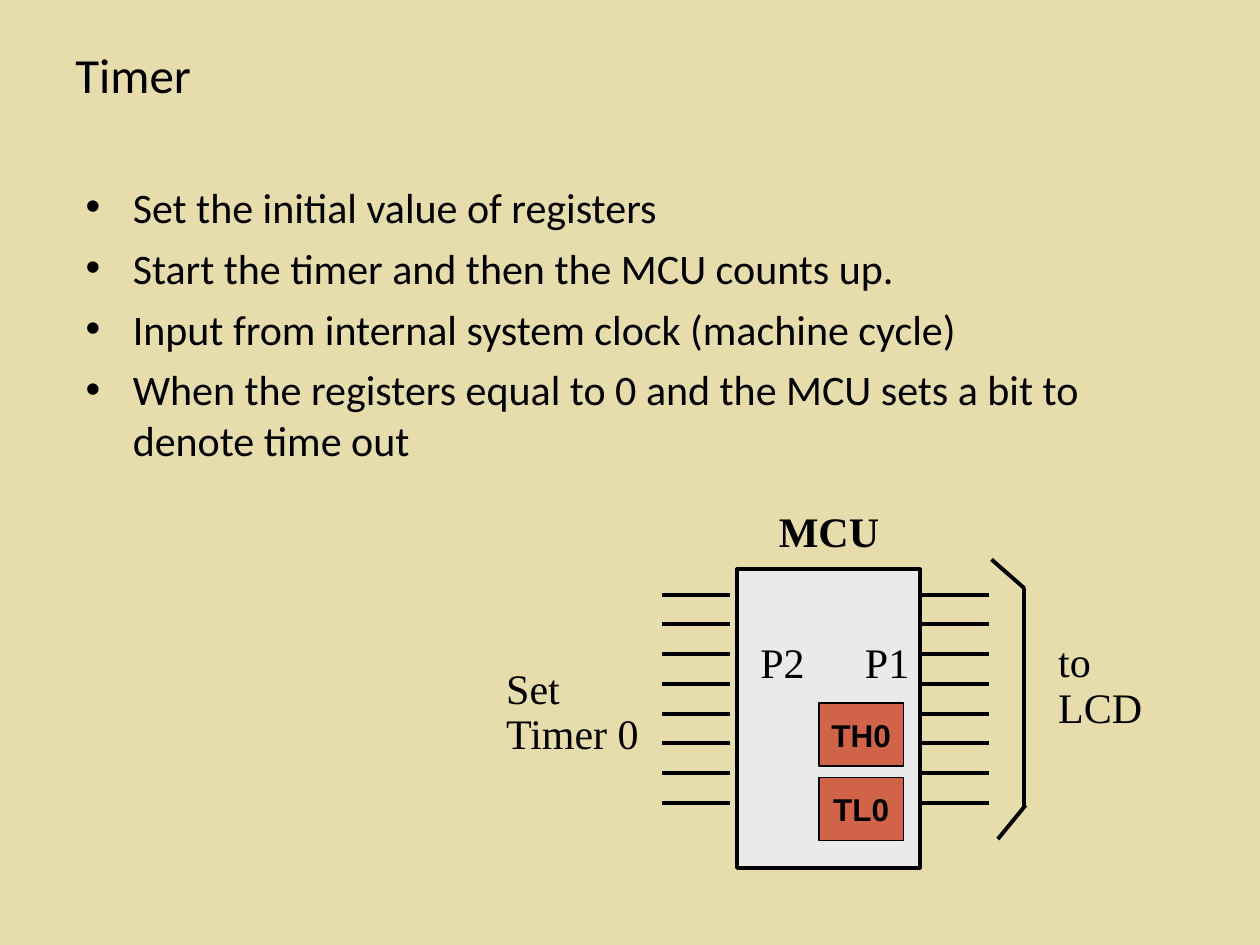
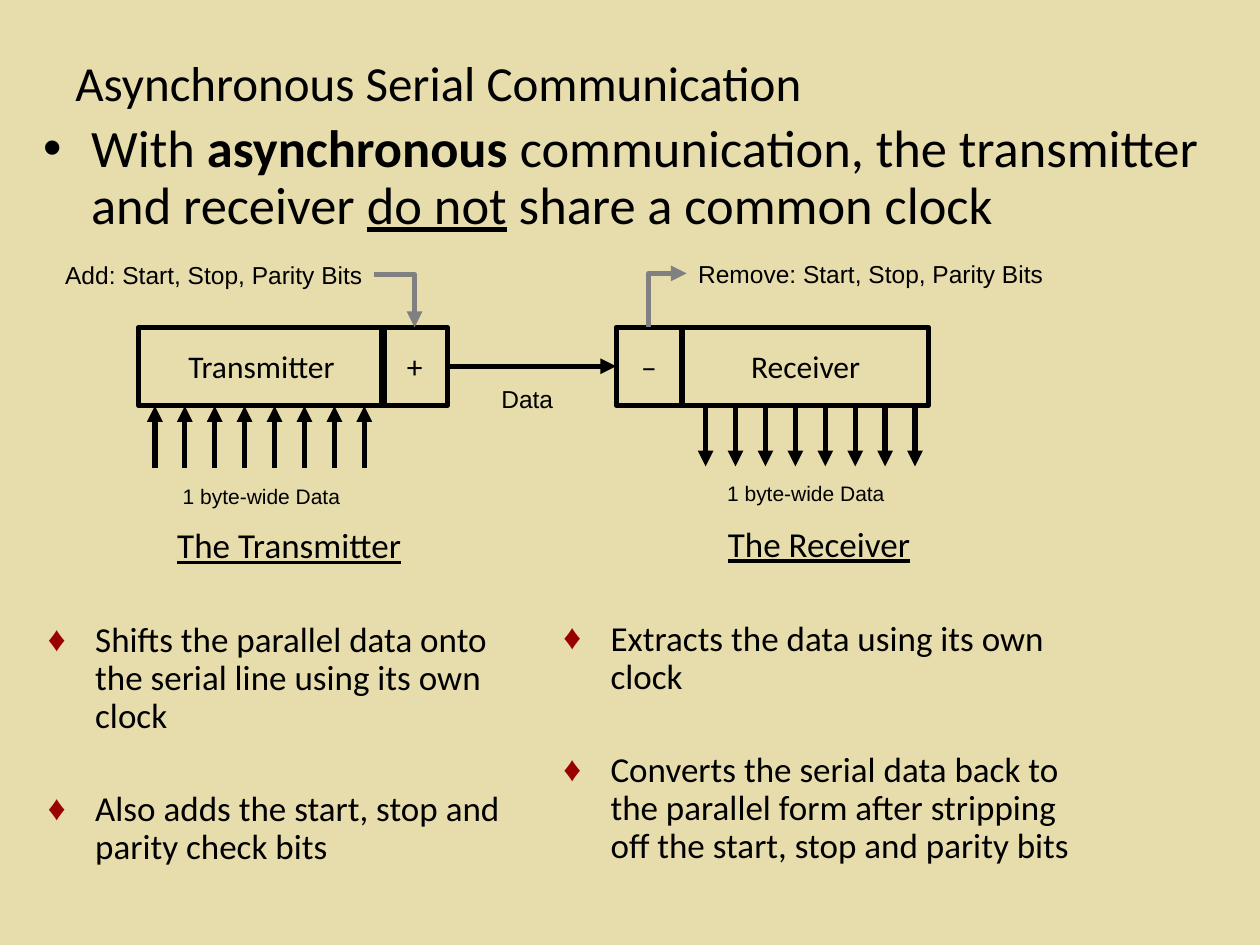
from lxml import etree
from pptx import Presentation
from pptx.dml.color import RGBColor
from pptx.enum import shapes, text
from pptx.oxml import ns
from pptx.util import Pt

BACKGROUND, BLACK, GREY = "E6DCAC", "000000", "808080"
CHIP, REGISTER, DIAMOND_RED = "EAEAEA", "D16349", "990000"
BODY, LABEL, CHIP_FONT = "Calibri", "Arial", "Times New Roman"
LEFT, CENTER, RIGHT = text.PP_ALIGN.LEFT, text.PP_ALIGN.CENTER, text.PP_ALIGN.RIGHT
TOP, MIDDLE = text.MSO_ANCHOR.TOP, text.MSO_ANCHOR.MIDDLE
WIDE, TIGHT = (7.2, 3.6), (6.5, 3.2)
HANG = 27
color = RGBColor.from_string


def add_box(slide, place, lines, size=18, face=BODY, align=LEFT, anchor=TOP,
            inset=WIDE, leading=None, gap=0, bullet=None, bullet_from=0,
            bullet_color=BLACK, border=None, fill=None):
    """Add a text box, or a rectangle if border is set.

    A line is a string or a list of (words, style); style holds b and/or u.
    """
    place = [Pt(length) for length in place]
    if border:
        box = slide.shapes.add_shape(shapes.MSO_SHAPE.RECTANGLE, *place)
        box.shadow.inherit = False
        box.line.color.rgb = color(BLACK)
        box.line.width = Pt(border)
        if fill:
            box.fill.solid()
            box.fill.fore_color.rgb = color(fill)
        else:
            box.fill.background()
    else:
        box = slide.shapes.add_textbox(*place)
    frame = box.text_frame
    frame.word_wrap = not border
    frame.vertical_anchor = anchor
    frame.margin_left = frame.margin_right = Pt(inset[0])
    frame.margin_top = frame.margin_bottom = Pt(inset[1])
    for number, line in enumerate(lines):
        para = frame.paragraphs[0] if number == 0 else frame.add_paragraph()
        para.alignment = align
        if bullet and number >= bullet_from:
            props = para._p.get_or_add_pPr()
            props.set("marL", str(Pt(HANG)))
            props.set("indent", str(-Pt(HANG)))
            tint = etree.SubElement(props, ns.qn("a:buClr"))
            etree.SubElement(tint, ns.qn("a:srgbClr"), val=bullet_color)
            etree.SubElement(props, ns.qn("a:buFont"), typeface="Arial")
            etree.SubElement(props, ns.qn("a:buChar"), char=bullet)
        elif bullet:
            para.alignment = CENTER
        if leading:
            para.line_spacing = leading
        if number and gap:
            para.space_before = Pt(gap)
        for words, style in [(line, "")] if isinstance(line, str) else line:
            span = para.add_run()
            span.text = words
            span.font.name = face
            span.font.size = Pt(size)
            span.font.color.rgb = color(BLACK)
            span.font.bold = "b" in style
            span.font.underline = "u" in style
    return box


def add_line(slide, start, end, width, ink=BLACK, arrow=None, bent=False):
    """Add a connector; arrow is "headEnd" (at start) or "tailEnd" (at end)."""
    kind = shapes.MSO_CONNECTOR.ELBOW if bent else shapes.MSO_CONNECTOR.STRAIGHT
    line = slide.shapes.add_connector(kind, *[Pt(v) for v in (*start, *end)])
    line.line.color.rgb = color(ink)
    line.line.width = Pt(width)
    props = line._element.spPr
    if bent:
        props.find(ns.qn("a:prstGeom")).set("prst", "bentConnector2")
    if arrow:
        etree.SubElement(props.find(ns.qn("a:ln")), ns.qn("a:" + arrow), type="triangle")
    etree.SubElement(props, ns.qn("a:effectLst"))
    return line


deck = Presentation()
deck.slide_width, deck.slide_height = Pt(720), Pt(540)
pages = []
for title, place, anchor in [
    ("Timer", (36, 21.6, 401.8, 90), TOP),
    ("Asynchronous Serial Communication", (36, 21.6, 534.2, 50.4), MIDDLE),
]:
    page = deck.slides.add_slide(deck.slide_layouts[6])
    page.background.fill.solid()
    page.background.fill.fore_color.rgb = color(BACKGROUND)
    add_box(page, place, [title], 28, anchor=anchor)
    pages.append(page)
timer, serial = pages

# Timer: steps and the chip diagram
add_box(timer, (41.8, 100, 584, 365.8), [
    "Set the initial value of registers",
    "Start the timer and then the MCU counts up.",
    "Input from internal system clock (machine cycle)",
    "When the registers equal to 0 and the MCU sets a bit to denote time out",
], 24, gap=6, bullet="•")

add_box(timer, (421.2, 325.4, 104.4, 170.6), [], border=2.25, fill=CHIP)
for pin in range(8):
    y = 339.8 + 17 * pin
    for x in (378.2, 526.3):
        add_line(timer, (x, y), (x + 39, y), 2.25)
for start, end in [((585.4, 336.2), (585.4, 461.5)),
                   ((585.4, 336.2), (566.6, 319.7)),
                   ((570.2, 479.5), (586.1, 460.1))]:
    add_line(timer, start, end, 2.25)
for name, y in [("TH0", 401.8), ("TL0", 444.2)]:
    add_box(timer, (468, y, 48.2, 36), [[(name, "b")]], 18, LABEL, CENTER, MIDDLE,
            border=0.75, fill=REGISTER)
for name, style, place in [("MCU", "b", (432, 285.1, 83.5, 36)),
                           ("P2", "", (426.2, 360, 41.8, 36)),
                           ("P1", "", (486, 360, 41.8, 36))]:
    add_box(timer, place, [[(name, style)]], 24, CHIP_FONT, CENTER, MIDDLE)
for lines, place in [(["Set", "Timer 0"], (282.2, 378, 105.8, 59)),
                     (["to", "LCD"], (597.6, 362.9, 82, 59))]:
    add_box(timer, place, lines, 24, CHIP_FONT, anchor=MIDDLE, leading=0.9)

# Asynchronous Serial Communication: statement, diagram and two columns
add_box(serial, (18, 66.2, 684, 72.7), [[
    ("With ", ""), ("asynchronous", "b"),
    (" communication, the transmitter and receiver ", ""),
    ("do not", "u"), (" share a common clock", ""),
]], 30, leading=0.9, bullet="•")

units = {}
for name, x, width in [("Transmitter", 79.2, 140.4), ("Receiver", 390.2, 140.4),
                       ("+", 218.2, 37.4), ("–", 352.1, 37.4)]:
    units[name] = add_box(serial, (x, 187, width, 44.6), [name], 18, BODY, CENTER,
                          MIDDLE, TIGHT, border=3)

data_arrow = add_line(serial, (255.6, 209.3), (352.1, 209.3), 3, arrow="tailEnd")
data_arrow.begin_connect(units["+"], 3)
data_arrow.end_connect(units["–"], 1)
for bit in range(8):
    x = 17.1 * bit
    add_line(serial, (88.5 + x, 267.5), (88.5 + x, 232), 3, arrow="tailEnd")
    add_line(serial, (403.2 + x, 231), (403.2 + x, 266.5), 3, arrow="tailEnd")

for words, size, place in [("1 byte-wide Data", 12, (97.9, 272.9, 106.6, 20.9)),
                           ("1 byte-wide Data", 12, (409, 271.4, 106.6, 20.9)),
                           ("Data", 14, (280, 216, 44, 23))]:
    add_box(serial, place, [words], size, LABEL, inset=TIGHT)

for words, place, align, side, unit, arrow in [
    ("Add: Start, Stop, Parity Bits", (15.1, 145.4, 198.7, 23), RIGHT, 3, "+", "tailEnd"),
    ("Remove: Start, Stop, Parity Bits", (392.4, 144.7, 223.9, 23), LEFT, 1, "–", "headEnd"),
]:
    label = add_box(serial, place, [words], 14, LABEL, align, inset=TIGHT)
    x, y, width, height = place
    start = (x + width if side == 3 else x, y + height / 2)
    top = units[unit]
    end = (top.left.pt + top.width.pt / 2, top.top.pt)
    bend = add_line(serial, start, end, 3, GREY, arrow, bent=True)
    bend.begin_connect(label, side)
    bend.end_connect(top, 0)

for place, heading, points in [
    ((20.9, 298.8, 288.7, 175), "The Transmitter", [
        "Shifts the parallel data onto the serial line using its own clock",
        "Also adds the start, stop and parity check bits"]),
    ((315.4, 298.1, 305.3, 181.4), "The Receiver", [
        "Extracts the data using its own clock",
        "Converts the serial data back to the parallel form after stripping "
        "off the start, stop and parity bits"]),
]:
    add_box(serial, place, [[(heading, "u")], *points], 20, inset=TIGHT, leading=0.9,
            gap=32, bullet="♦", bullet_from=1, bullet_color=DIAMOND_RED)

deck.save("out.pptx")
